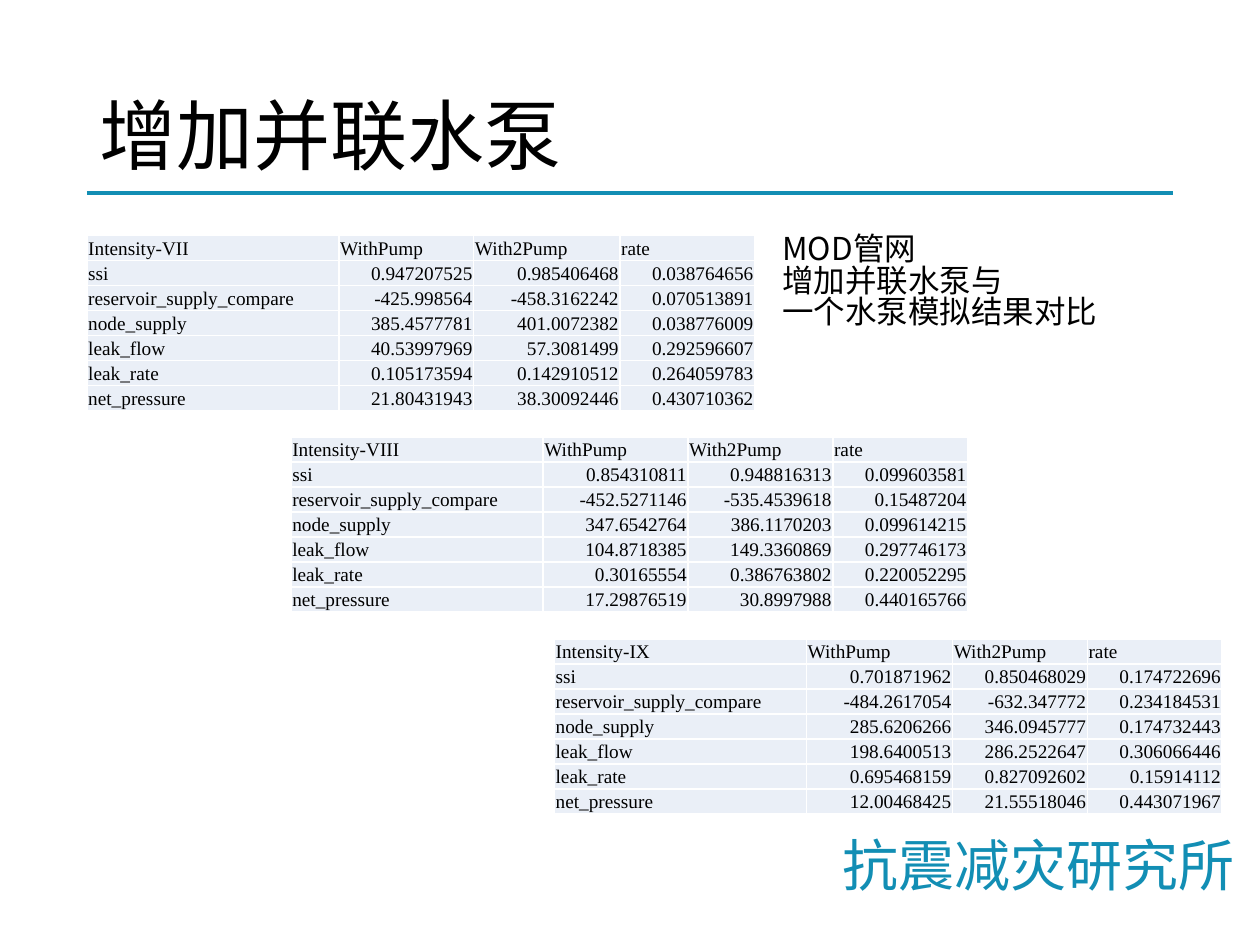
"""Build the slide comparing one pump with two parallel pumps at three intensities."""
from lxml import etree
from pptx import Presentation, util as u
from pptx.dml.color import RGBColor
from pptx.enum import shapes, text
from pptx.oxml.ns import qn

COLORS = {"accent": "128EB4", "ink": "000000", "cell": "EAEFF7", "border": "FFFFFF"}
HAN, LATIN = "Noto Sans CJK SC", "Times New Roman"
HEADINGS = ["WithPump", "With2Pump", "rate"]
MEASURES = ["ssi", "reservoir_supply_compare", "node_supply", "leak_flow", "leak_rate", "net_pressure"]
TABLES = [
    ("Intensity-VII", 0.69, [2, 1.07, 1.16, 1.07], [
        ("0.947207525", "0.985406468", "0.038764656"),
        ("-425.998564", "-458.3162242", "0.070513891"),
        ("385.4577781", "401.0072382", "0.038776009"),
        ("40.53997969", "57.3081499", "0.292596607"),
        ("0.105173594", "0.142910512", "0.264059783"),
        ("21.80431943", "38.30092446", "0.430710362")]),
    ("Intensity-VIII", 2.31, [2, 1.15, 1.15, 1.07], [
        ("0.854310811", "0.948816313", "0.099603581"),
        ("-452.5271146", "-535.4539618", "0.15487204"),
        ("347.6542764", "386.1170203", "0.099614215"),
        ("104.8718385", "149.3360869", "0.297746173"),
        ("0.30165554", "0.386763802", "0.220052295"),
        ("17.29876519", "30.8997988", "0.440165766")]),
    ("Intensity-IX", 4.4, [2, 1.16, 1.07, 1.07], [
        ("0.701871962", "0.850468029", "0.174722696"),
        ("-484.2617054", "-632.347772", "0.234184531"),
        ("285.6206266", "346.0945777", "0.174732443"),
        ("198.6400513", "286.2522647", "0.306066446"),
        ("0.695468159", "0.827092602", "0.15914112"),
        ("12.00468425", "21.55518046", "0.443071967")]),
]
NOTE = ["MOD管网", "增加并联水泵与", "一个水泵模拟结果对比"]
MARGIN, TABLE_TOP, TABLE_STEP, TABLE_HEIGHT = 0.69, 1.87, 1.6, 1.39
LINE_SPACING = 0.83


def style_span(span, size, font, color):
    span.font.size = u.Pt(size)
    span.font.name = font
    span.font.color.rgb = RGBColor.from_string(COLORS[color])
    etree.SubElement(span.font._element, qn("a:ea")).set("typeface", font)


def add_text(page, lines, bounds, size, color="ink", inset=(0, 0), wrap=True,
             anchor=text.MSO_ANCHOR.TOP):
    box = page.shapes.add_textbox(*map(u.Inches, bounds))
    frame = box.text_frame
    frame.word_wrap = wrap
    frame.vertical_anchor = anchor
    frame.margin_left = frame.margin_right = u.Inches(inset[0])
    frame.margin_top = frame.margin_bottom = u.Inches(inset[1])
    frame.text = "\n".join(lines)
    for para in frame.paragraphs:
        para.line_spacing = LINE_SPACING
        for span in para.runs:
            style_span(span, size, HAN, color)


def add_borders(cell):
    properties = cell._tc.get_or_add_tcPr()
    for position, side in enumerate(("lnL", "lnR", "lnT", "lnB")):
        line = etree.Element(qn(f"a:{side}"), w=str(u.Pt(1)))
        fill = etree.SubElement(line, qn("a:solidFill"))
        etree.SubElement(fill, qn("a:srgbClr")).set("val", COLORS["border"])
        properties.insert(position, line)


def fill_cell(cell, value, numeric):
    cell.text = value
    cell.vertical_anchor = text.MSO_ANCHOR.MIDDLE
    cell.margin_left = cell.margin_right = cell.margin_top = u.Inches(0.01)
    cell.margin_bottom = 0
    cell.fill.solid()
    cell.fill.fore_color.rgb = RGBColor.from_string(COLORS["cell"])
    add_borders(cell)
    para = cell.text_frame.paragraphs[0]
    para.alignment = text.PP_ALIGN.RIGHT if numeric else text.PP_ALIGN.LEFT
    style_span(para.runs[0], 11, LATIN, "ink")


def add_results(page, name, left, top, widths, values):
    rows = [(name, *HEADINGS)] + [(measure, *row) for measure, row in zip(MEASURES, values)]
    bounds = (left, top, sum(widths), TABLE_HEIGHT)
    table = page.shapes.add_table(len(rows), len(widths), *map(u.Inches, bounds)).table
    for column, width in zip(table.columns, widths):
        column.width = u.Inches(width)
    for r, row in enumerate(rows):
        table.rows[r].height = u.Inches(TABLE_HEIGHT / len(rows))
        for c, value in enumerate(row):
            fill_cell(table.cell(r, c), value, r > 0 and c > 0)


deck = Presentation()
deck.slide_width, deck.slide_height = u.Inches(10), u.Inches(7.5)
page = deck.slides.add_slide(deck.slide_layouts[6])

rule = page.shapes.add_connector(shapes.MSO_CONNECTOR.STRAIGHT,
                                 *map(u.Inches, (MARGIN, 1.53, 10 - MARGIN, 1.53)))
rule.line.color.rgb = RGBColor.from_string(COLORS["accent"])
rule.line.width = u.Pt(2.25)
etree.SubElement(rule._element.spPr, qn("a:effectLst"))

add_text(page, ["抗震减灾研究所"], (6.69, 6.68, 3.14, 0.54), 32, "accent", wrap=False)
add_text(page, ["增加并联水泵"], (MARGIN, 0.4, 10 - 2 * MARGIN, 1.45), 44,
         inset=(0.1, 0.05), anchor=text.MSO_ANCHOR.MIDDLE)
for index, (name, left, widths, values) in enumerate(TABLES):
    add_results(page, name, left, TABLE_TOP + index * TABLE_STEP, widths, values)
add_text(page, NOTE, (6.21, TABLE_TOP, 2.59, 0.91), 18)

deck.save("out.pptx")
